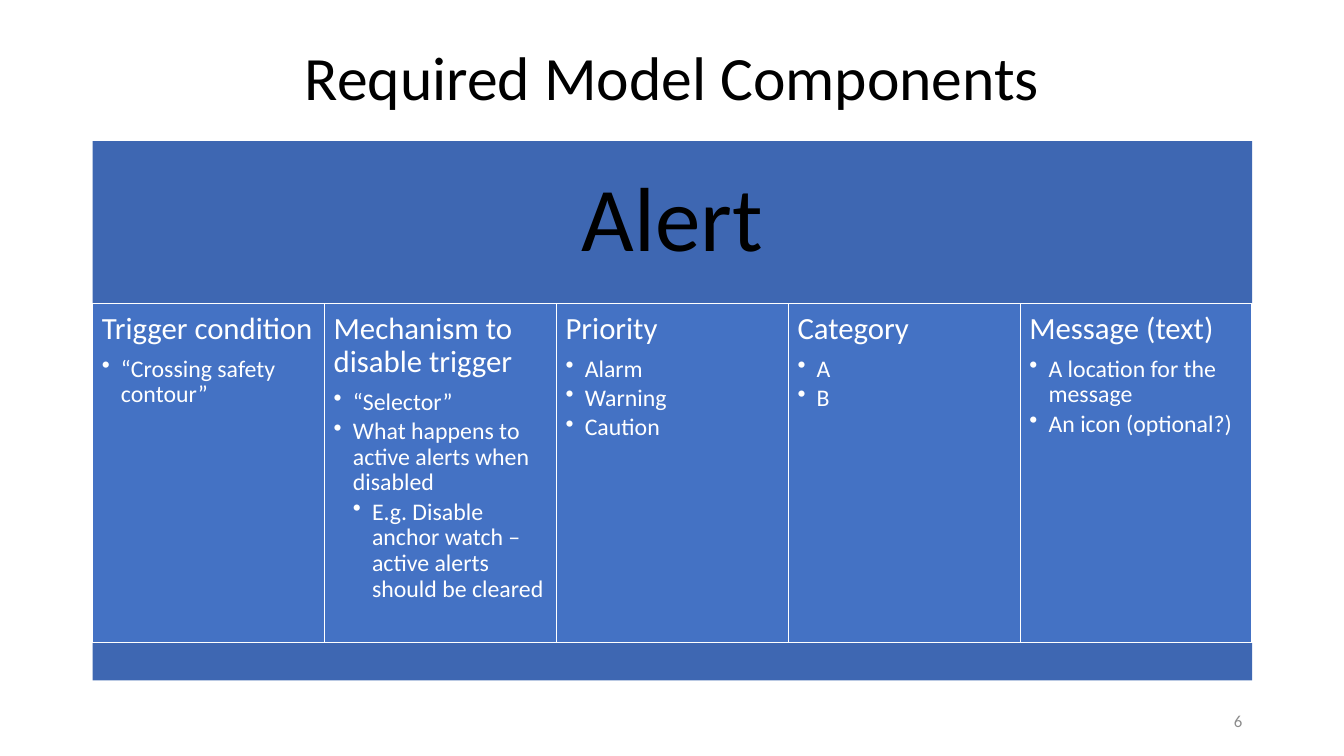
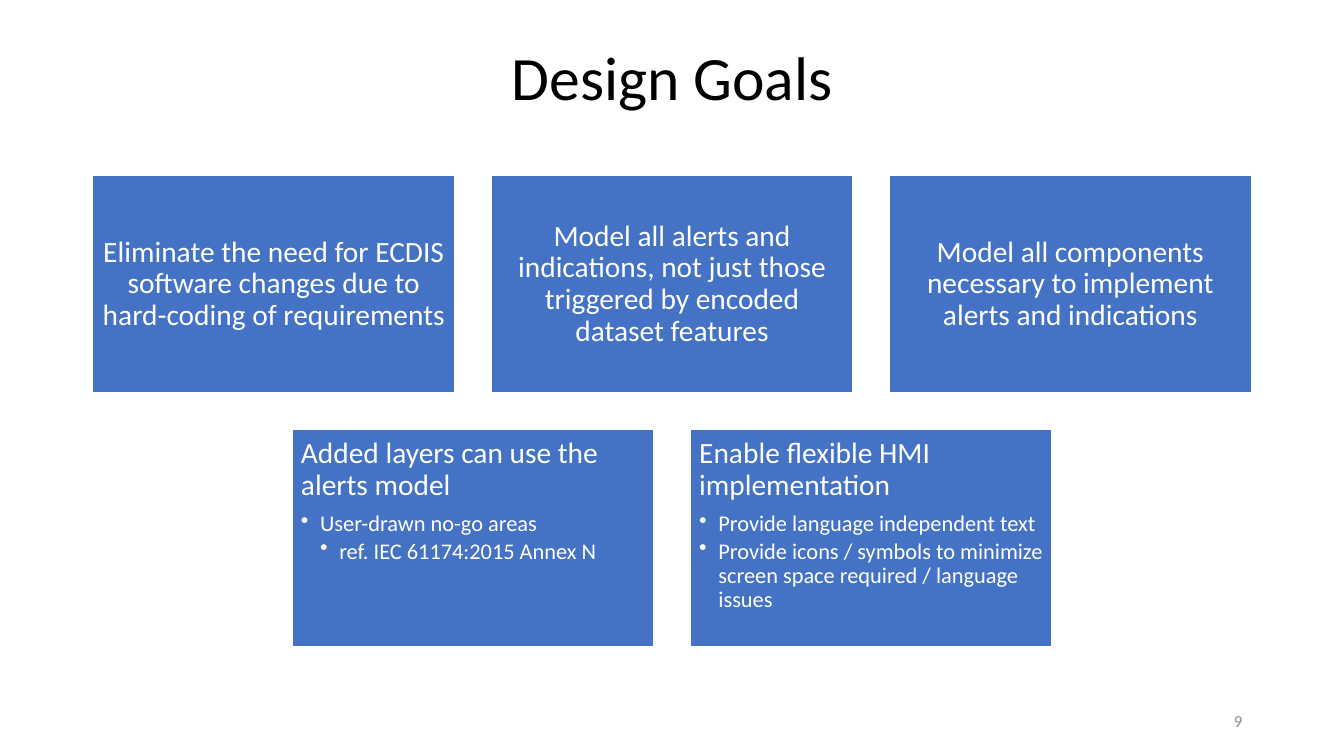
from lxml import etree
from pptx import Presentation
from pptx.dml.color import RGBColor
from pptx.enum.shapes import MSO_SHAPE
from pptx.enum.text import MSO_ANCHOR, PP_ALIGN
from pptx.oxml.ns import qn
from pptx.util import Pt

RECTANGLE = MSO_SHAPE.RECTANGLE
TOP, MIDDLE = MSO_ANCHOR.TOP, MSO_ANCHOR.MIDDLE
LEFT, CENTER, RIGHT = PP_ALIGN.LEFT, PP_ALIGN.CENTER, PP_ALIGN.RIGHT

BLACK = RGBColor(0x00, 0x00, 0x00)
WHITE = RGBColor(0xFF, 0xFF, 0xFF)
GREY = RGBColor(0x8C, 0x8C, 0x8C)
BLUE = RGBColor(0x44, 0x72, 0xC4)
DARK_BLUE = RGBColor(0x3E, 0x67, 0xB2)

FONT = "Calibri"
PX = 9144
SLIDE_WIDTH, SLIDE_HEIGHT = 1333, 750
MARGIN, CONTENT_WIDTH = 92, 1150
BULLET_INDENT = 19

TITLE = {"size": 44, "color": BLACK, "align": CENTER, "anchor": MIDDLE}
NUMBER = {"size": 12, "color": GREY, "align": RIGHT, "anchor": MIDDLE, "line_spacing": 1.0}
BAND = {"size": 65, "color": BLACK, "align": CENTER, "anchor": MIDDLE, "inset": 27}
COLUMN = {"size": 22, "bullet_size": 17, "color": WHITE, "align": LEFT, "anchor": TOP, "inset": 9}
GOAL = {"size": 21, "bullet_size": 16, "color": WHITE, "align": CENTER, "anchor": MIDDLE, "inset": 9}
GOAL_LIST = {**GOAL, "align": LEFT, "anchor": TOP}


def write_text(shape, lines, style):
    frame = shape.text_frame
    frame_format = {"word_wrap": True, "vertical_anchor": style["anchor"]}
    if "inset" in style:
        for side in ("left", "top", "right", "bottom"):
            frame_format[f"margin_{side}"] = style["inset"] * PX
    for name, value in frame_format.items():
        setattr(frame, name, value)
    for index, (level, text) in enumerate(lines):
        paragraph = frame.add_paragraph() if index else frame.paragraphs[0]
        size = style["bullet_size"] if level else style["size"]
        paragraph_format = {
            "level": level,
            "alignment": style["align"],
            "line_spacing": style.get("line_spacing", 0.9),
        }
        if index < len(lines) - 1:
            paragraph_format["space_after"] = Pt(size * (0.15 if level else 0.35))
        for name, value in paragraph_format.items():
            setattr(paragraph, name, value)
        if level:
            properties = paragraph._p.get_or_add_pPr()
            properties.set("marL", str(level * BULLET_INDENT * PX))
            properties.set("indent", str(-BULLET_INDENT * PX))
            etree.SubElement(properties, qn("a:buChar")).set("char", "•")
        run = paragraph.add_run()
        run.text = text
        for name, value in {"name": FONT, "size": Pt(size)}.items():
            setattr(run.font, name, value)
        run.font.color.rgb = style["color"]


def add_box(slide, bounds, fill, outlined, lines, style):
    shape = slide.shapes.add_shape(RECTANGLE, *(round(length * PX) for length in bounds))
    shape.shadow.inherit = False
    shape.fill.solid()
    shape.fill.fore_color.rgb = fill
    if outlined:
        shape.line.color.rgb = WHITE
        shape.line.width = Pt(1)
    else:
        shape.line.fill.background()
    write_text(shape, lines, style)


presentation = Presentation()
presentation.slide_width = SLIDE_WIDTH * PX
presentation.slide_height = SLIDE_HEIGHT * PX

slides = []
for title, number in (("Required Model Components", "6"), ("Design Goals", "9")):
    slide = presentation.slides.add_slide(presentation.slide_layouts[6])
    slides.append(slide)
    for text, style, bounds in (
        (title, TITLE, (MARGIN, 40, CONTENT_WIDTH, 79)),
        (number, NUMBER, (942, 695, 300, 40)),
    ):
        box = slide.shapes.add_textbox(*(length * PX for length in bounds))
        write_text(box, [(0, text)], style)

components_slide, goals_slide = slides

columns = [
    [(0, "Trigger condition"), (1, "“Crossing safety contour”")],
    [
        (0, "Mechanism to disable trigger"),
        (1, "“Selector”"),
        (1, "What happens to active alerts when disabled"),
        (2, "E.g. Disable anchor watch – active alerts should be cleared"),
    ],
    [(0, "Priority"), (1, "Alarm"), (1, "Warning"), (1, "Caution")],
    [(0, "Category"), (1, "A"), (1, "B")],
    [(0, "Message (text)"), (1, "A location for the message"), (1, "An icon (optional?)")],
]
band_top, band_height, column_height, base_height = 140, 161, 337, 37
column_top = band_top + band_height
column_width = CONTENT_WIDTH // len(columns)

add_box(components_slide, (MARGIN, band_top, CONTENT_WIDTH, band_height),
        DARK_BLUE, False, [(0, "Alert")], BAND)
for index, lines in enumerate(columns):
    bounds = (MARGIN + index * column_width, column_top, column_width, column_height)
    add_box(components_slide, bounds, BLUE, True, lines, COLUMN)
add_box(components_slide, (MARGIN, column_top + column_height, CONTENT_WIDTH, base_height),
        DARK_BLUE, False, [], BAND)

goal_rows = [
    (GOAL, [
        [(0, "Eliminate the need for ECDIS software changes due to hard-coding of requirements")],
        [(0, "Model all alerts and indications, not just those triggered by encoded dataset features")],
        [(0, "Model all components necessary to implement alerts and indications")],
    ]),
    (GOAL_LIST, [
        [
            (0, "Added layers can use the alerts model"),
            (1, "User-drawn no-go areas"),
            (2, "ref. IEC 61174:2015 Annex N"),
        ],
        [
            (0, "Enable flexible HMI implementation"),
            (1, "Provide language independent text"),
            (1, "Provide icons / symbols to minimize screen space required / language issues"),
        ],
    ]),
]
goal_top, goal_width, goal_height, goal_gap = 174, 359, 216, 36

for row, (style, goals) in enumerate(goal_rows):
    row_width = len(goals) * (goal_width + goal_gap) - goal_gap
    row_left = (SLIDE_WIDTH - row_width) / 2
    top = goal_top + row * (goal_height + goal_gap)
    for index, lines in enumerate(goals):
        left = row_left + index * (goal_width + goal_gap)
        add_box(goals_slide, (left, top, goal_width, goal_height), BLUE, True, lines, style)

presentation.save("out.pptx")
